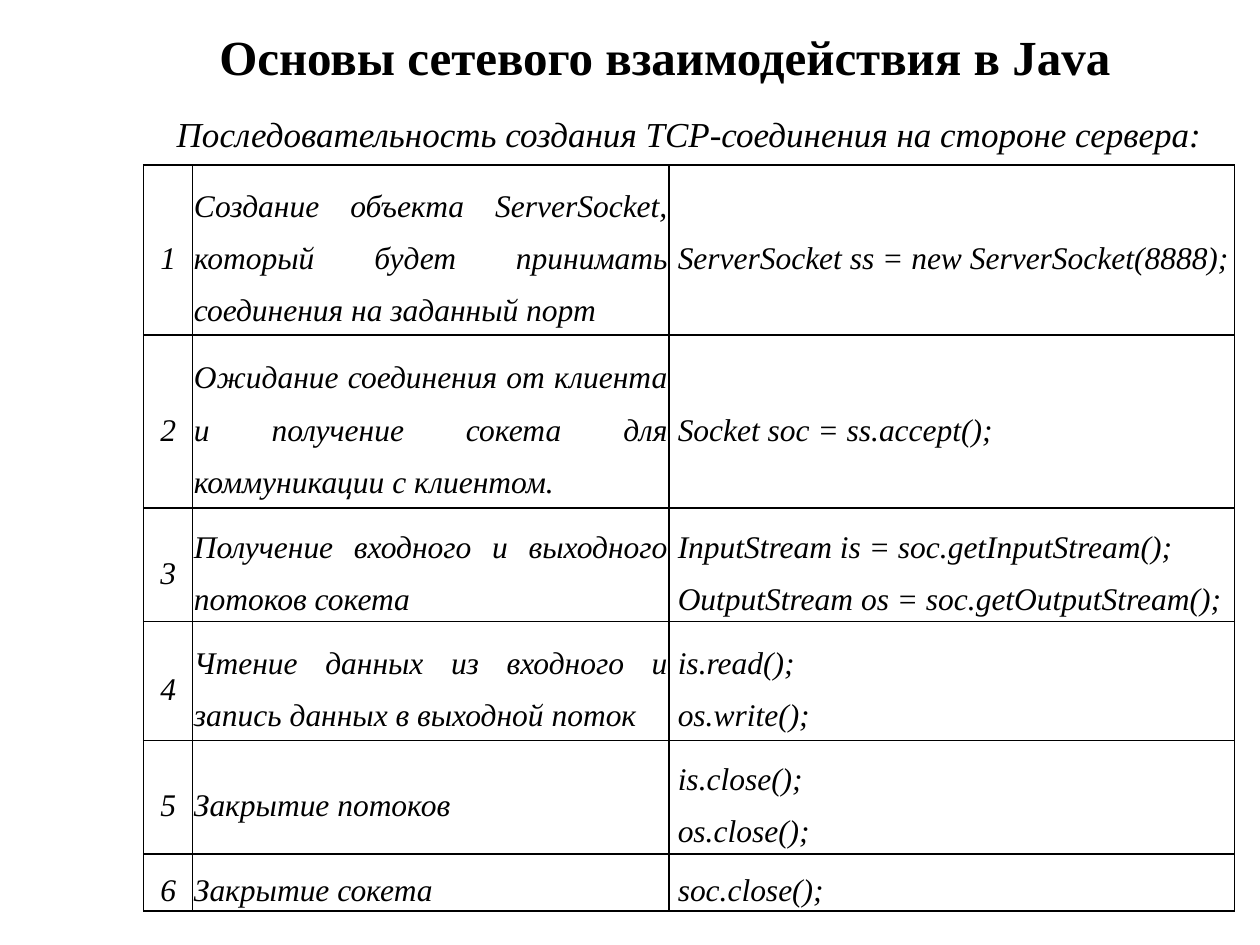
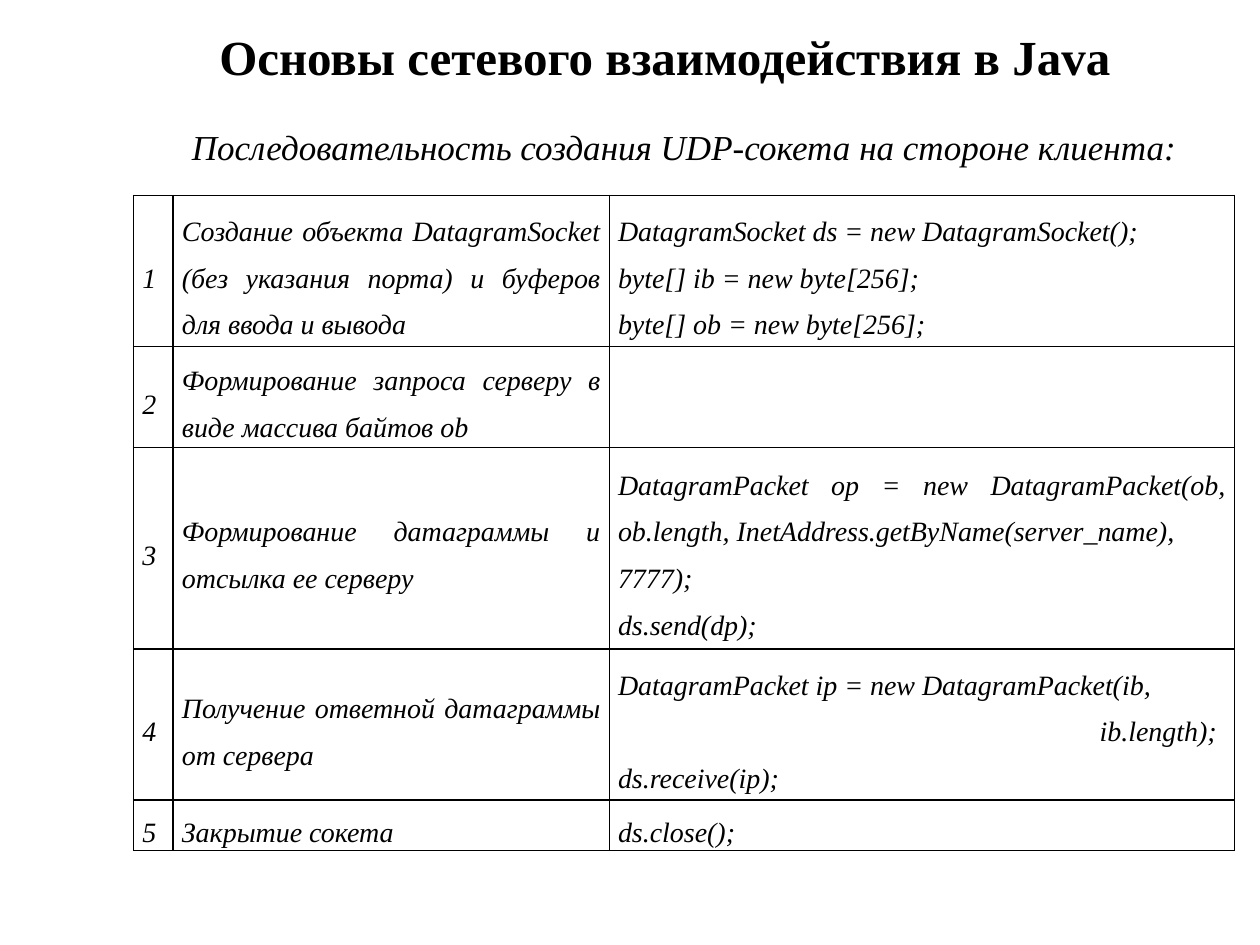
import pptx
import pptx.util
import pptx.dml.color
import pptx.enum.text
import pptx.oxml
from dataclasses import dataclass
from lxml import etree

ALIGN = pptx.enum.text.PP_ALIGN
ANCHOR = pptx.enum.text.MSO_ANCHOR
Inches = pptx.util.Inches


@dataclass(frozen=True)
class Theme:
    """Colours, type sizes and shared measures."""
    font: str = "Times New Roman"
    ink: str = "000000"
    title_size: int = 28
    subtitle_size: int = 20
    border: float = 1
    spacing: float = 1.5
    width: float = 10
    height: float = 7.5
    right_edge: float = 9.8


THEME = Theme()
TITLE = "Основы сетевого взаимодействия в Java"
TITLE_BOX = (1.22, 0.21, 8.11, 0.47)
SUBTITLE_HEIGHT = 0.44

# Each step: description, code lines, row height counted in text lines.
# A code line may be a pair: text and its indent as a share of the column.
TCP_STEPS = [
    ("Создание объекта ServerSocket, который будет принимать соединения на заданный порт",
     ["ServerSocket ss = new ServerSocket(8888);"], 3),
    ("Ожидание соединения от клиента и получение сокета для коммуникации с клиентом.",
     ["Socket soc = ss.accept();"], 3.05),
    ("Получение входного и выходного потоков сокета",
     ["InputStream is = soc.getInputStream();",
      "OutputStream os = soc.getOutputStream();"], 2),
    ("Чтение данных из входного и запись данных в выходной поток",
     ["is.read();", "os.write();"], 2.1),
    ("Закрытие потоков", ["is.close();", "os.close();"], 2),
    ("Закрытие сокета", ["soc.close();"], 1),
]
UDP_STEPS = [
    ("Создание объекта DatagramSocket (без указания порта) и буферов для ввода и вывода",
     ["DatagramSocket ds = new DatagramSocket();",
      "byte[] ib = new byte[256];", "byte[] ob = new byte[256];"], 3),
    ("Формирование запроса серверу в виде массива байтов ob", [], 2),
    ("Формирование датаграммы и отсылка ее серверу",
     ["DatagramPacket op = new DatagramPacket(ob, ob.length, "
      "InetAddress.getByName(server_name),", "7777);", "ds.send(dp);"], 4),
    ("Получение ответной датаграммы от сервера",
     ["DatagramPacket ip = new DatagramPacket(ib,",
      ("ib.length);", 0.77), "ds.receive(ip);"], 3),
    ("Закрытие сокета", ["ds.close();"], 1),
]
SLIDES = [
    dict(subtitle="Последовательность создания TCP-соединения на стороне сервера:",
         steps=TCP_STEPS, left=1.14, subtitle_top=0.84, table_top=1.31,
         shares=(0.045, 0.4365, 0.5185), line=0.45, size=18,
         inset=0.01, code_inset=0.07, number_align=ALIGN.CENTER),
    dict(subtitle="Последовательность создания UDP-сокета на стороне клиента:",
         steps=UDP_STEPS, left=1.06, subtitle_top=0.95, table_top=1.55,
         shares=(0.036, 0.396, 0.568), line=0.4, size=16,
         inset=0.07, code_inset=0.07, number_align=ALIGN.JUSTIFY),
]


def style(paragraph, size, align, bold=False, italic=False):
    """Align a paragraph and format its runs."""
    paragraph.alignment = align
    for run in paragraph.runs:
        run.font.name = THEME.font
        run.font.size = pptx.util.Pt(size)
        run.font.bold, run.font.italic = bold, italic
        run.font.color.rgb = pptx.dml.color.RGBColor.from_string(THEME.ink)


def add_heading(slide, text, box, size, anchor, **emphasis):
    """Add a centred line of text."""
    heading = slide.shapes.add_textbox(*map(Inches, box)).text_frame
    heading.word_wrap = True
    heading.vertical_anchor = anchor
    heading.text = text
    style(heading.paragraphs[0], size, ALIGN.CENTER, **emphasis)


def outline(cell):
    """Draw the four borders of a cell and leave it unfilled."""
    properties = cell._tc.get_or_add_tcPr()
    for side in ("lnL", "lnR", "lnT", "lnB"):
        edge = etree.SubElement(properties, pptx.oxml.ns.qn("a:" + side),
                                w=str(pptx.util.Pt(THEME.border)))
        fill = etree.SubElement(edge, pptx.oxml.ns.qn("a:solidFill"))
        etree.SubElement(fill, pptx.oxml.ns.qn("a:srgbClr"), val=THEME.ink)
    cell.fill.background()


def fill_cell(cell, lines, column_width, size, align, left, right):
    """Write the lines of a cell, one paragraph each."""
    cell.margin_left, cell.margin_right = Inches(left), Inches(right)
    cell.margin_top = cell.margin_bottom = 0
    cell.vertical_anchor = ANCHOR.MIDDLE
    pairs = [line if isinstance(line, tuple) else (line, 0) for line in lines]
    cell.text_frame.text = "\n".join(text for text, _ in pairs)
    for paragraph, (_, indent) in zip(cell.text_frame.paragraphs, pairs):
        paragraph.line_spacing = THEME.spacing
        style(paragraph, size, align, italic=True)
        if indent:
            paragraph._p.get_or_add_pPr().set("marL", str(int(column_width * indent)))
    outline(cell)


def add_steps(slide, content):
    """Add the numbered table of steps with their code."""
    steps, left = content["steps"], content["left"]
    width = THEME.right_edge - left
    heights = [content["line"] * lines for _, _, lines in steps]
    table = slide.shapes.add_table(
        len(steps), 3, Inches(left), Inches(content["table_top"]),
        Inches(width), Inches(sum(heights))).table
    table.first_row = table.horz_banding = False
    for column, share in zip(table.columns, content["shares"]):
        column.width = Inches(width * share)
    inset = content["inset"]
    aligns = (content["number_align"], ALIGN.JUSTIFY, ALIGN.JUSTIFY)
    left_insets = (inset, inset, content["code_inset"])
    for number, (row, height, step) in enumerate(zip(table.rows, heights, steps), 1):
        row.height = Inches(height)
        description, code, _ = step
        parts = ([str(number)], [description], code)
        for cell, lines, column, align, left_inset in zip(
                row.cells, parts, table.columns, aligns, left_insets):
            fill_cell(cell, lines, column.width, content["size"], align,
                      left_inset, inset)


def build():
    """Build and save the presentation."""
    deck = pptx.Presentation()
    deck.slide_width, deck.slide_height = Inches(THEME.width), Inches(THEME.height)
    for content in SLIDES:
        slide = deck.slides.add_slide(deck.slide_layouts[6])
        left = content["left"]
        add_heading(slide, TITLE, TITLE_BOX, THEME.title_size, ANCHOR.MIDDLE, bold=True)
        add_heading(slide, content["subtitle"],
                    (left, content["subtitle_top"], THEME.right_edge - left, SUBTITLE_HEIGHT),
                    THEME.subtitle_size, ANCHOR.TOP, italic=True)
        add_steps(slide, content)
    deck.save("out.pptx")


build()
